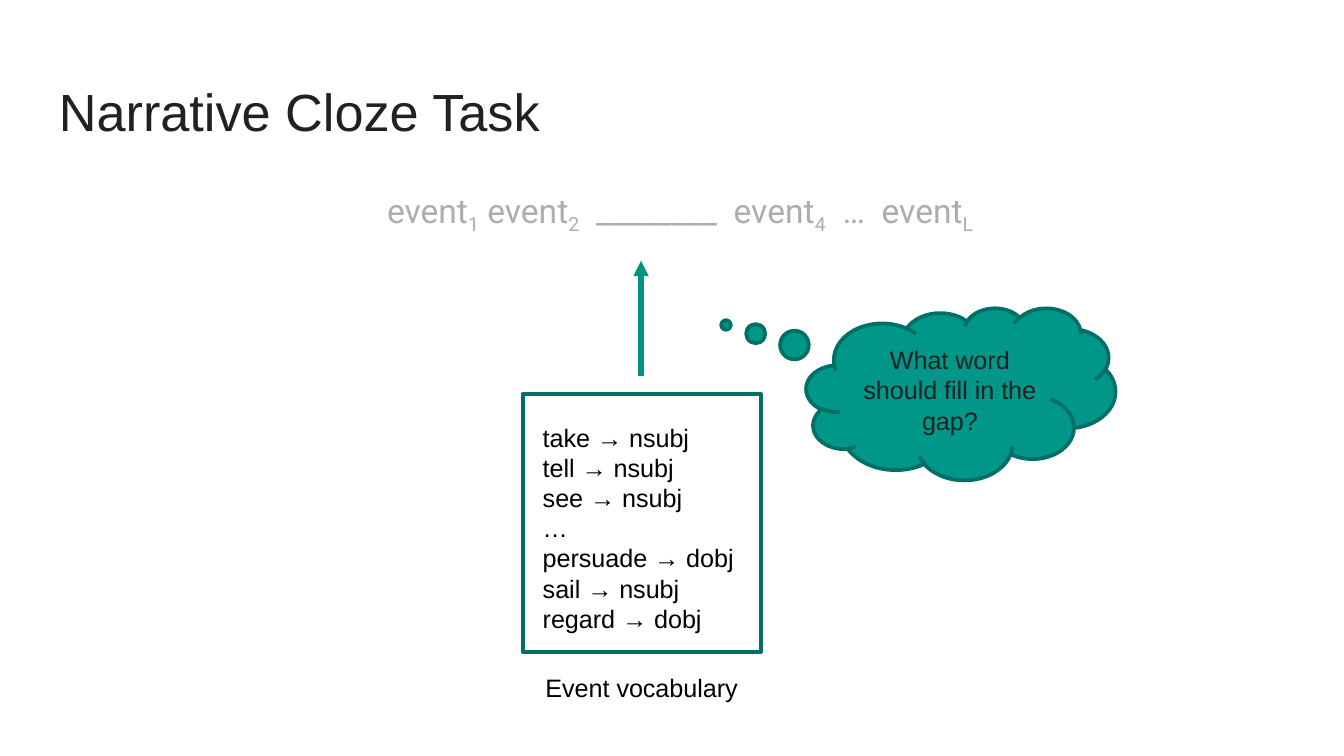
from dataclasses import dataclass

from lxml import etree
from pptx import Presentation
from pptx.dml.color import RGBColor
from pptx.enum.shapes import MSO_CONNECTOR, MSO_SHAPE
from pptx.enum.text import MSO_ANCHOR, MSO_AUTO_SIZE, PP_ALIGN
from pptx.oxml.ns import qn
from pptx.util import Inches, Pt

STRAIGHT = MSO_CONNECTOR.STRAIGHT
RECT, CLOUD = MSO_SHAPE.RECTANGLE, MSO_SHAPE.CLOUD_CALLOUT
TOP, MIDDLE = MSO_ANCHOR.TOP, MSO_ANCHOR.MIDDLE
FIT_SHAPE = MSO_AUTO_SIZE.SHAPE_TO_FIT_TEXT
LEFT, CENTER = PP_ALIGN.LEFT, PP_ALIGN.CENTER

COLORS = {
    "ink": "212121",
    "black": "000000",
    "muted": "ADADAD",
    "arrow": "009385",
    "teal": "009688",
    "outline": "006F65",
}


@dataclass
class Box:
    left: float
    top: float
    width: float
    height: float

    def lengths(self):
        return [Inches(v) for v in (self.left, self.top, self.width, self.height)]


@dataclass
class Style:
    size: float
    color: str
    font: str = "Arial"


def rgb(name: str) -> RGBColor:
    return RGBColor.from_string(COLORS[name])


def add_run(p, text: str, style: Style, baseline: int = 0) -> None:
    r = p.add_run()
    r.text = text
    r.font.size = Pt(style.size)
    r.font.name = style.font
    r.font.color.rgb = rgb(style.color)
    if baseline:
        r.font._element.set("baseline", str(baseline * 1000))


def write_lines(tf, lines: list[str], style: Style, align=LEFT) -> None:
    for i, line in enumerate(lines):
        p = tf.add_paragraph() if i else tf.paragraphs[0]
        p.alignment = align
        add_run(p, line, style)


def add_frame(slide, box: Box):
    tf = slide.shapes.add_textbox(*box.lengths()).text_frame
    tf.word_wrap = True
    tf.vertical_anchor = TOP
    tf.margin_left = tf.margin_right = Inches(0.1)
    tf.margin_top = tf.margin_bottom = Inches(0.1)
    return tf


def add_label(slide, box: Box, lines: list[str], style: Style) -> None:
    tf = slide.shapes.add_textbox(*box.lengths()).text_frame
    tf.word_wrap = False
    tf.auto_size = FIT_SHAPE
    write_lines(tf, lines, style)


def add_outlined(slide, kind, box: Box, fill: str = ""):
    sp = slide.shapes.add_shape(kind, *box.lengths())
    sp.shadow.inherit = False
    if fill:
        sp.fill.solid()
        sp.fill.fore_color.rgb = rgb(fill)
    else:
        sp.fill.background()
    sp.line.color.rgb = rgb("outline")
    sp.line.width = Pt(2)
    return sp


def add_arrow(slide, x: float, start: float, end: float) -> None:
    cxn = slide.shapes.add_connector(
        STRAIGHT, Inches(x), Inches(start), Inches(x), Inches(end)
    )
    cxn.line.color.rgb = rgb("arrow")
    cxn.line.width = Pt(2.75)
    ln = cxn.line._get_or_add_ln()
    etree.SubElement(ln, qn("a:tailEnd"), type="triangle")
    etree.SubElement(cxn._element.spPr, qn("a:effectLst"))


def add_event_chain(slide, box: Box, style: Style) -> None:
    p = add_frame(slide, box).paragraphs[0]
    p.alignment = CENTER
    p.line_spacing = 1.15
    p._p.get_or_add_pPr().set("marL", str(Inches(0.12)))
    chain = [
        ("event", "1"),
        (" event", "2"),
        ("  ________  event", "4"),
        ("  …  event", "L"),
    ]
    for word, index in chain:
        add_run(p, word, style)
        add_run(p, index, style, baseline=-25)


def main() -> None:
    prs = Presentation()
    prs.slide_width = Inches(10)
    prs.slide_height = Inches(10 * 9 / 16)
    slide = prs.slides.add_slide(prs.slide_layouts[6])
    label = Style(13.5, "black")

    title = add_frame(slide, Box(0.34, 0.49, 9.32, 0.63))
    write_lines(title, ["Narrative Cloze Task"], Style(28, "ink"))
    add_event_chain(slide, Box(0.34, 1.26, 9.32, 3.74), Style(18, "muted", "Roboto"))

    add_arrow(slide, 4.77, 2.8, 1.94)
    add_outlined(slide, RECT, Box(3.89, 2.93, 1.77, 1.92))
    add_label(slide, Box(3.96, 4.95, 1.65, 0.33), ["Event vocabulary"], label)
    vocabulary = [
        "take → nsubj",
        "tell → nsubj",
        "see → nsubj",
        "…",
        "persuade → dobj",
        "sail → nsubj",
        "regard → dobj",
    ]
    add_label(slide, Box(3.94, 3.09, 1.64, 1.92), vocabulary, label)

    cloud = add_outlined(slide, CLOUD, Box(6, 2.29, 2.3, 1.28), "teal")
    cloud.adjustments[0] = -0.76
    cloud.adjustments[1] = -0.4
    tf = cloud.text_frame
    tf.word_wrap = True
    tf.vertical_anchor = MIDDLE
    write_lines(tf, ["What word should fill in the gap?"], Style(13.5, "ink"), CENTER)

    prs.save("out.pptx")


if __name__ == "__main__":
    main()
